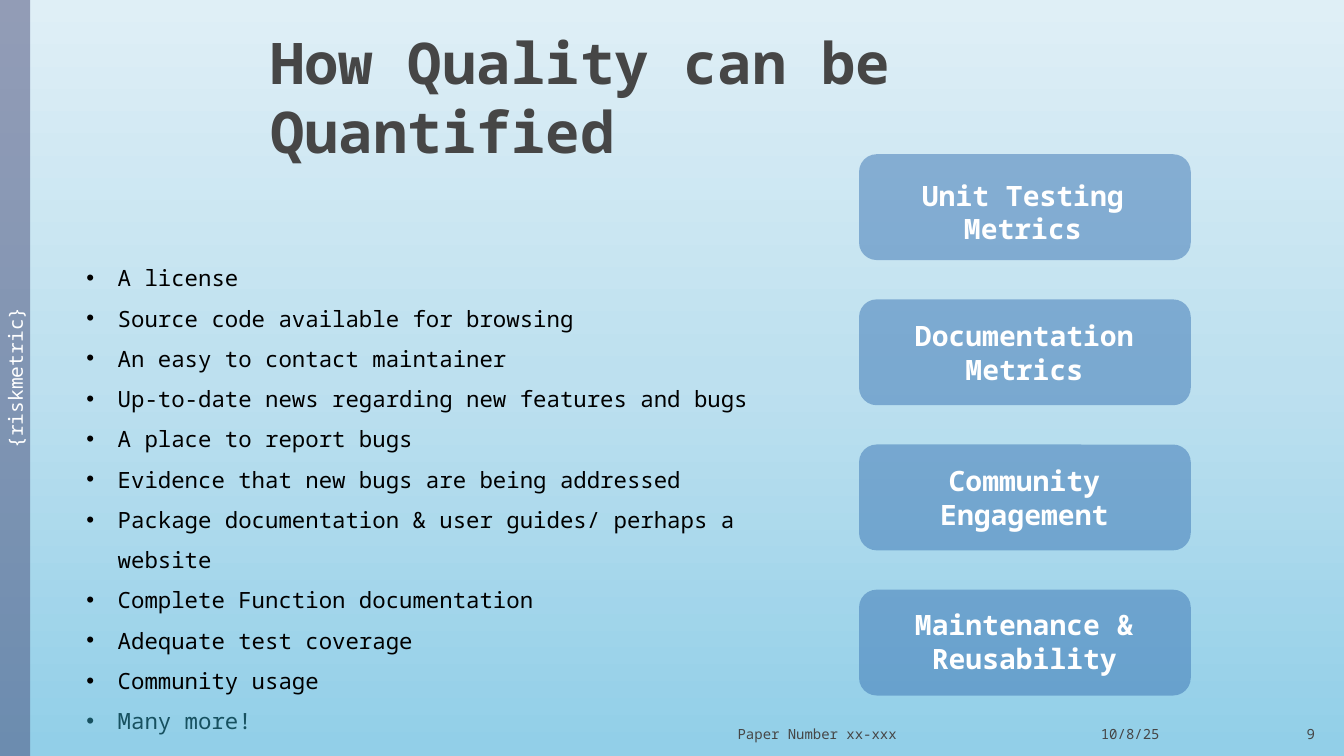
"""Build the slide on how package quality can be quantified."""
from pptx import Presentation
from pptx.dml.color import RGBColor
from pptx.enum import shapes, text
from pptx.oxml import ns
from pptx.util import Inches, Pt
from lxml import etree

TITLE = "How Quality can be Quantified"
SIGNS = [
    "A license",
    "Source code available for browsing",
    "An easy to contact maintainer",
    "Up-to-date news regarding new features and bugs",
    "A place to report bugs",
    "Evidence that new bugs are being addressed",
    "Package documentation & user guides/ perhaps a website",
    "Complete Function documentation",
    "Adequate test coverage",
    "Community usage",
    "Many more!",
]
METRICS = [
    ("Unit Testing Metrics", 0.19),
    ("Documentation Metrics", 0.14),
    ("Community Engagement", 0.14),
    ("Maintenance & Reusability", 0.13),
]
FOOTER = [
    ("Paper Number xx-xxx", 6.39, 3.43, text.PP_ALIGN.CENTER),
    ("10/8/25", 9.81, 2.8, text.PP_ALIGN.CENTER),
    ("9", 12.61, 0.53, text.PP_ALIGN.RIGHT),
]
BAND = "{riskmetric}"

FONT = "Noto Sans Mono"
GREY = RGBColor(0x46, 0x46, 0x46)
BLACK = RGBColor(0, 0, 0)
WHITE = RGBColor(0xFF, 0xFF, 0xFF)
TEAL = RGBColor(0x17, 0x51, 0x60)
BLUE = RGBColor(0x39, 0x73, 0xB3)
INDIGO = RGBColor(0x47, 0x4B, 0x78)
SKY = [RGBColor(0xDF, 0xEF, 0xF6), RGBColor(0xBD, 0xE0, 0xEF), RGBColor(0x92, 0xCF, 0xE8)]

WIDTH, HEIGHT = 13.33, 7.5
CARD_LEFT, CARD_TOP, CARD_WIDTH, CARD_HEIGHT, CARD_STEP = 8.52, 1.53, 3.29, 1.05, 1.44
INDENT = Inches(0.31)


def style(para, size, color, bold=False, align=text.PP_ALIGN.LEFT):
    para.alignment = align
    for span in para.runs:
        span.font.name = FONT
        span.font.size = Pt(size)
        span.font.bold = bold
        span.font.color.rgb = color


def add_text(page, area, words, size, color, anchor=text.MSO_ANCHOR.TOP, **look):
    box = page.shapes.add_textbox(*map(Inches, area))
    frame = box.text_frame
    frame.word_wrap = True
    frame.vertical_anchor = anchor
    frame.text = words
    for para in frame.paragraphs:
        style(para, size, color, **look)
    return frame


def add_panel(page, kind, area, color):
    panel = page.shapes.add_shape(kind, *map(Inches, area))
    panel.shadow.inherit = False
    panel.line.fill.background()
    panel.fill.solid()
    panel.fill.fore_color.rgb = color
    tint = panel.fill._xPr.find(".//" + ns.qn("a:srgbClr"))
    etree.SubElement(tint, ns.qn("a:alpha"), val="50000")
    return panel


def paint_background(page):
    fill = page.background.fill
    fill.gradient()
    fill.gradient_angle = 270
    stops = fill._xPr.find(".//" + ns.qn("a:gsLst"))
    for stop in list(stops):
        stops.remove(stop)
    for place, color in zip((0, 50, 99), SKY):
        stop = etree.SubElement(stops, ns.qn("a:gs"), pos=str(place * 1000))
        etree.SubElement(stop, ns.qn("a:srgbClr"), val=str(color))


def add_signs(page):
    frame = add_text(page, (0.76, 2.44, 7.43, 4.51), "\n".join(SIGNS), 16, BLACK)
    for para in frame.paragraphs:
        para.line_spacing = 1.5
        layout = para._p.get_or_add_pPr()
        layout.set("marL", str(INDENT))
        layout.set("indent", str(-INDENT))
        etree.SubElement(layout, ns.qn("a:buFont"), typeface="Arial")
        etree.SubElement(layout, ns.qn("a:buChar"), char="•")
    frame.paragraphs[-1].runs[0].font.color.rgb = TEAL


def add_metrics(page):
    for row, (name, drop) in enumerate(METRICS):
        top = CARD_TOP + row * CARD_STEP
        add_panel(page, shapes.MSO_SHAPE.ROUNDED_RECTANGLE,
                  (CARD_LEFT, top, CARD_WIDTH, CARD_HEIGHT), BLUE)
        inset = 0.03 if row else 0.23
        width = 3.22 if row else 2.79
        add_text(page, (CARD_LEFT + inset, top + drop, width, 0.77), name, 20, WHITE,
                 bold=True, align=text.PP_ALIGN.CENTER)


def add_band(page):
    band = add_panel(page, shapes.MSO_SHAPE.RECTANGLE, (0, 0, 0.3, HEIGHT), INDIGO)
    frame = band.text_frame
    frame.vertical_anchor = text.MSO_ANCHOR.MIDDLE
    frame._txBody.bodyPr.set("vert", "vert270")
    frame.text = BAND
    style(frame.paragraphs[0], 14, WHITE, align=text.PP_ALIGN.CENTER)


def main():
    deck = Presentation()
    deck.slide_width, deck.slide_height = Inches(WIDTH), Inches(HEIGHT)
    page = deck.slides.add_slide(deck.slide_layouts[6])
    paint_background(page)
    for words, left, width, align in FOOTER:
        add_text(page, (left, 7.01, width, 0.4), words, 10, GREY,
                 anchor=text.MSO_ANCHOR.BOTTOM, align=align)
    title = add_text(page, (2.58, 0.33, 10.11, 1.25), TITLE, 41, GREY,
                     anchor=text.MSO_ANCHOR.MIDDLE, bold=True)
    title.margin_right = Inches(0.8)
    add_signs(page)
    add_metrics(page)
    add_band(page)
    deck.save("out.pptx")


if __name__ == "__main__":
    main()
